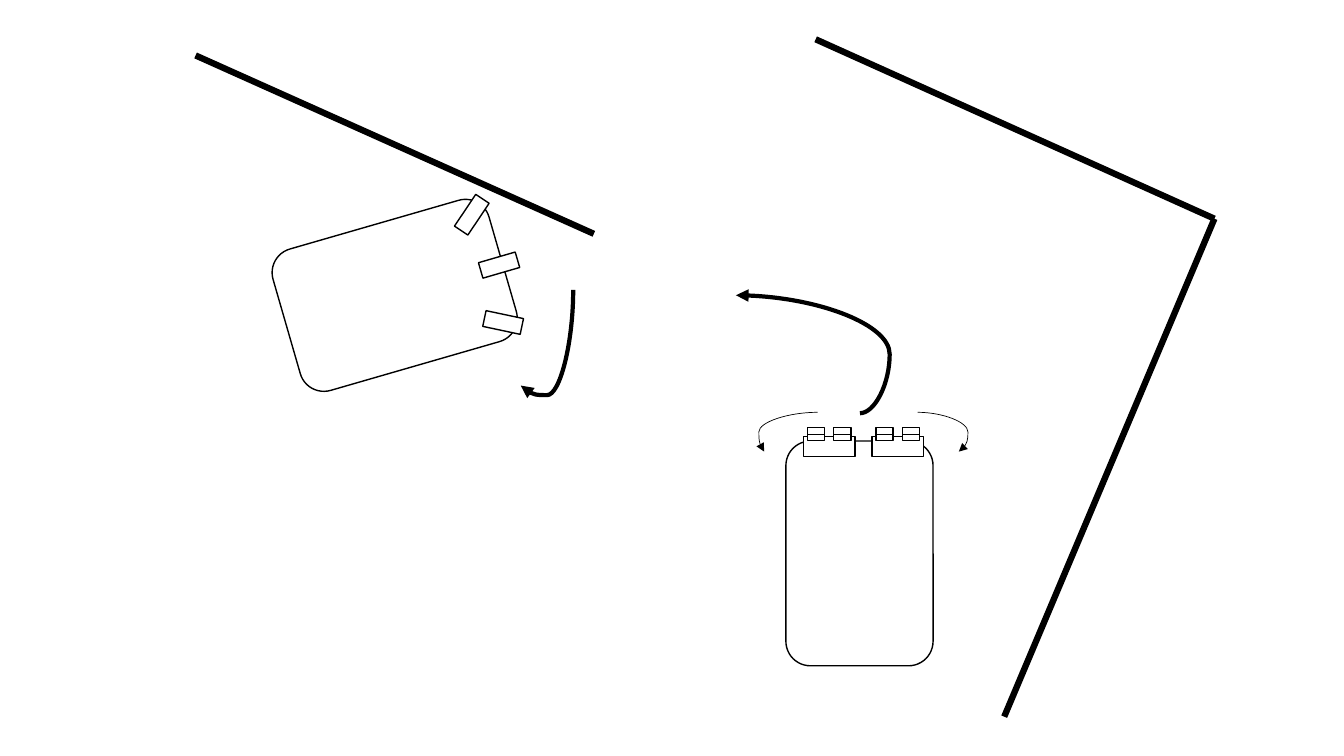
from lxml import etree
from pptx import Presentation
from pptx import util as u
from pptx.dml.color import RGBColor
from pptx.enum import shapes
from pptx.oxml.ns import qn

BLACK = RGBColor(0, 0, 0)
WHITE = RGBColor(255, 255, 255)
CELL = u.Inches(0.1)
RECT = shapes.MSO_SHAPE.RECTANGLE
ROUNDED = shapes.MSO_SHAPE.ROUNDED_RECTANGLE
STRAIGHT = shapes.MSO_CONNECTOR.STRAIGHT
CURVE = shapes.MSO_CONNECTOR.CURVE


def cells(*counts):
    return [round(count * CELL) for count in counts]


class Sketch:
    wall, turn, outline, detail = 4.5, 3, 1, 0.5

    def __init__(self, page):
        self.page = page

    def set_line(self, line, weight):
        line.color.rgb = BLACK
        line.width = u.Pt(weight)

    def box(self, kind, column, row, width, height, **values):
        box = self.page.shapes.add_shape(kind, *cells(column, row, width, height))
        box.shadow.inherit = False
        box.fill.solid()
        box.fill.fore_color.rgb = WHITE
        self.set_line(box.line, self.outline)
        for name, value in values.items():
            setattr(box, name, value)

    def line(self, start, end, weight, kind=STRAIGHT):
        line = self.page.shapes.add_connector(kind, *cells(*start, *end))
        self.set_line(line.line, weight)
        etree.SubElement(line._element.spPr, qn("a:effectLst"))
        return line

    def curved_arrow(self, start, end, weight, bend, rotation=0):
        arrow = self.line(start, end, weight, CURVE)
        properties = arrow._element.spPr
        guides = properties.find(qn("a:prstGeom")).find(qn("a:avLst"))
        etree.SubElement(guides, qn("a:gd"), name="adj1", fmla=f"val {round(bend * 100000)}")
        etree.SubElement(properties.find(qn("a:ln")), qn("a:tailEnd"), type="triangle")
        properties.find(qn("a:xfrm")).set("rot", str(rotation * 60000))

    def wheel_pair(self, column):
        self.box(RECT, column, 43.3, 5.1, 2)
        for offset in (0.37, 3):
            left = column + offset
            self.box(RECT, left, 42.4, 1.7, 1.3)
            self.line((left, 43.1), (left + 1.7, 43.1), self.detail)


deck = Presentation()
deck.slide_width, deck.slide_height = u.Inches(13.33), u.Inches(7.5)
sketch = Sketch(deck.slides.add_slide(deck.slide_layouts[6]))

BODY = 22.3, 14.6
SENSOR = 3.8, 1.6

sketch.box(ROUNDED, 74.1, 47.6, *BODY, rotation=270)
for column in (79.7, 86.5):
    sketch.wheel_pair(column)

CORNER = 120.45, 21.7
for start, end in (
    ((80.9, 3.9), CORNER),
    ((99.6, 71.1), CORNER),
    ((19.4, 5.5), (58.9, 23.2)),
):
    sketch.line(start, end, sketch.wall)

sketch.box(ROUNDED, 28, 22, *BODY, rotation=343.9)
for column, row, angle in ((47.6, 25.5, 343.8), (44.9, 20.5, 303.8), (48, 31.2, 12)):
    sketch.box(RECT, column, row, *SENSOR, rotation=angle)

for start, end, weight, bend, rotation in (
    ((91, 40.9), (95.1, 44.8), sketch.detail, 1.22, 0),
    ((81.1, 40.9), (75.8, 44.8), sketch.detail, 1.1, 0),
    ((85.3, 41), (73, 29.3), sketch.turn, -0.24, 0),
    ((49.5, 30.9), (59, 36.1), sketch.turn, 1.1, 90),
):
    sketch.curved_arrow(start, end, weight, bend, rotation)

deck.save("out.pptx")
